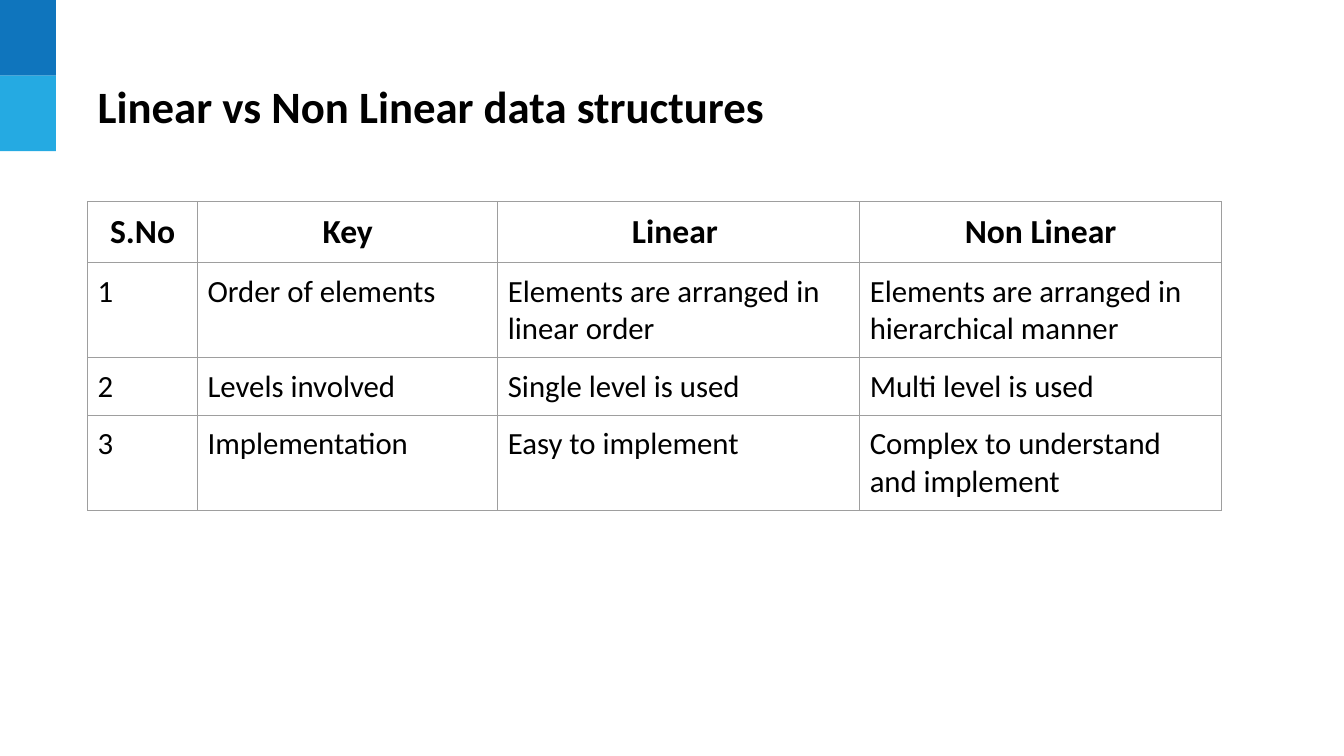
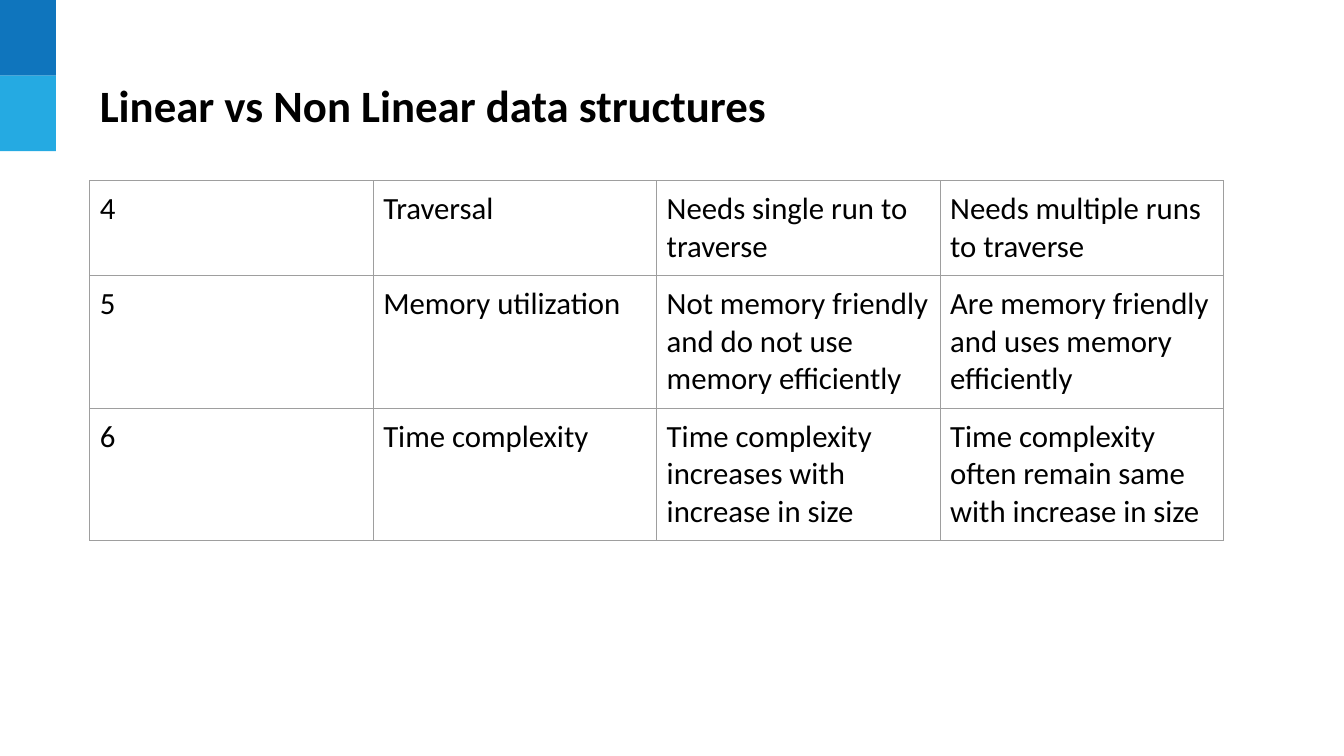
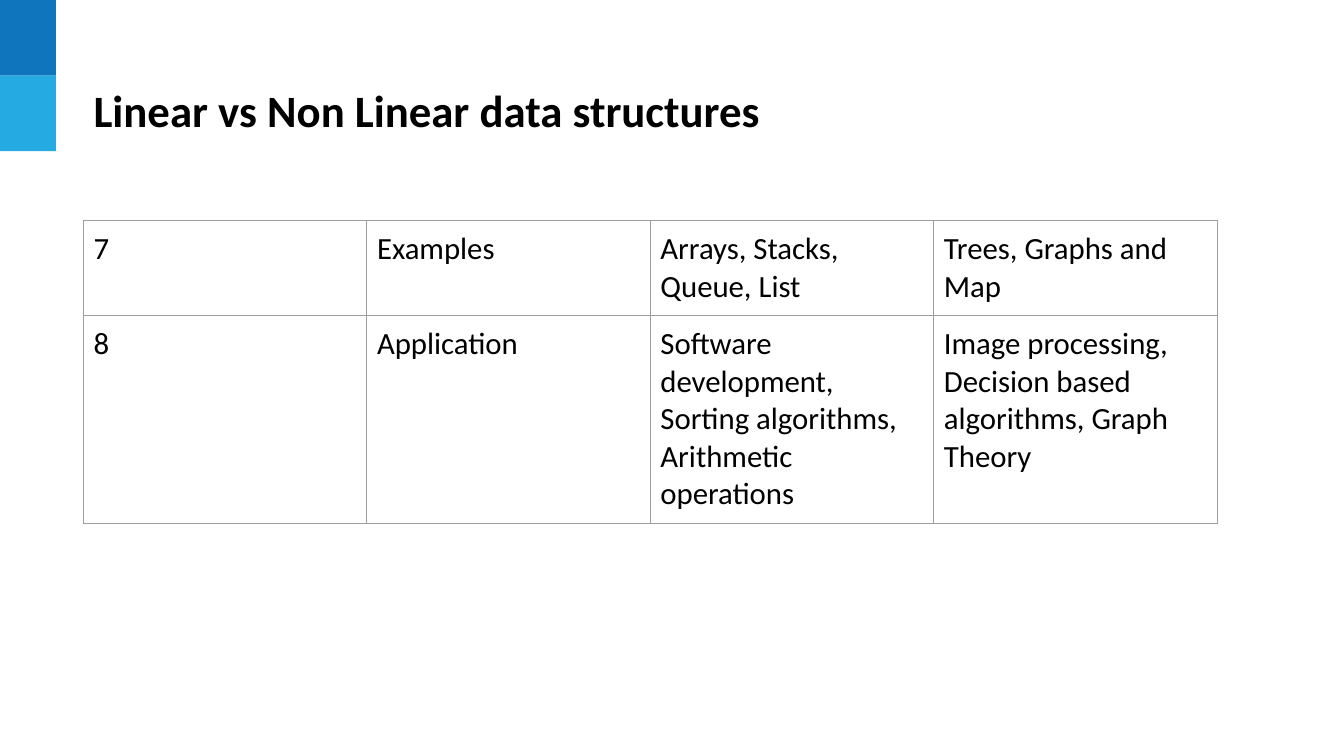
from dataclasses import dataclass

from lxml import etree
from pptx import Presentation
from pptx.dml.color import RGBColor
from pptx.enum.shapes import MSO_SHAPE
from pptx.enum.text import MSO_ANCHOR, MSO_AUTO_SIZE, PP_ALIGN
from pptx.oxml.ns import qn
from pptx.util import Pt

RECTANGLE = MSO_SHAPE.RECTANGLE
MIDDLE, TOP = MSO_ANCHOR.MIDDLE, MSO_ANCHOR.TOP
LEFT, CENTER = PP_ALIGN.LEFT, PP_ALIGN.CENTER
NO_AUTOFIT = MSO_AUTO_SIZE.NONE
TITLE_ONLY = 5


@dataclass(frozen=True)
class Theme:
    font: str = "Calibri"
    text: str = "000000"
    border: str = "9E9E9E"
    bands: tuple = ("0F75BD", "25AAE2")
    title_size: int = 32
    header_size: int = 24
    cell_size: int = 22
    border_width: float = 0.75


THEME = Theme()

# Content: left edge, title top, table top, column widths, header, rows
TITLE = "Linear vs Non Linear data structures"
EQUAL_COLUMNS = (202.5,) * 4
SLIDES = [
    {
        "left": 62.6, "title_top": 43.2, "table_top": 144,
        "columns": (78.5, 214.5, 258.5, 258.5),
        "header": ["S.No", "Key", "Linear ", "Non Linear"],
        "rows": [
            ["1", "Order of elements", "Elements are arranged in linear order",
             "Elements are arranged in hierarchical manner"],
            ["2", "Levels involved", "Single level is used", "Multi level is used"],
            ["3", "Implementation", "Easy to implement",
             "Complex to understand and implement"],
        ],
    },
    {
        "left": 64.1, "title_top": 42.5, "table_top": 128.9,
        "columns": EQUAL_COLUMNS,
        "header": None,
        "rows": [
            ["4", "Traversal", "Needs single run to traverse",
             "Needs multiple runs to traverse"],
            ["5", "Memory utilization",
             "Not memory friendly and do not use memory efficiently",
             "Are memory friendly and uses memory efficiently"],
            ["6", "Time complexity", "Time complexity increases with increase in size",
             "Time complexity often remain same with increase in size"],
        ],
    },
    {
        "left": 59.6, "title_top": 46.1, "table_top": 157.5,
        "columns": EQUAL_COLUMNS,
        "header": None,
        "rows": [
            ["7", "Examples", "Arrays, Stacks, Queue, List", "Trees, Graphs and Map"],
            ["8", "Application",
             "Software development,\nSorting algorithms, Arithmetic operations",
             "Image processing, Decision based algorithms, Graph Theory"],
        ],
    },
]

# Shared geometry in points
SLIDE_WIDTH, SLIDE_HEIGHT = 960, 540
BAND_WIDTH, BAND_HEIGHT = 40, 54
TITLE_WIDTH, TITLE_HEIGHT = 741, 65
ROW_HEIGHT = 30  # minimum; rows grow with their text
CELL_MARGIN = 7.2


def format_text(text_frame, size, bold, alignment):
    for paragraph in text_frame.paragraphs:
        paragraph.alignment = alignment
        for run in paragraph.runs:
            run.font.name = THEME.font
            run.font.size = Pt(size)
            run.font.bold = bold
            run.font.color.rgb = RGBColor.from_string(THEME.text)


def add_bands(slide, layout):
    """Draw the corner bands, then move them to the layout all slides share."""
    for index, color in enumerate(THEME.bands):
        band = slide.shapes.add_shape(RECTANGLE, 0, Pt(index * BAND_HEIGHT),
                                      Pt(BAND_WIDTH), Pt(BAND_HEIGHT))
        band.name = f"Corner band {index + 1}"
        band.shadow.inherit = False
        band.fill.solid()
        band.fill.fore_color.rgb = RGBColor.from_string(color)
        band.line.fill.background()
        band.element.nvSpPr.cNvPr.set("id", str(20 + index))
        layout.shapes.element.append(band.element)


def add_title(slide, left, top):
    title = slide.shapes.title
    title.left, title.top = Pt(left), Pt(top)
    title.width, title.height = Pt(TITLE_WIDTH), Pt(TITLE_HEIGHT)
    text_frame = title.text_frame
    text_frame.text = TITLE
    text_frame.word_wrap = True
    text_frame.auto_size = NO_AUTOFIT
    text_frame.vertical_anchor = MIDDLE
    format_text(text_frame, THEME.title_size, True, LEFT)


def set_borders(cell):
    properties = cell._tc.get_or_add_tcPr()
    for side in ("a:lnL", "a:lnR", "a:lnT", "a:lnB"):
        line = etree.SubElement(properties, qn(side), w=str(Pt(THEME.border_width)))
        fill = etree.SubElement(line, qn("a:solidFill"))
        etree.SubElement(fill, qn("a:srgbClr"), val=THEME.border)


def fill_cell(cell, text, is_header):
    cell.text_frame.text = text
    cell.margin_left = cell.margin_right = Pt(CELL_MARGIN)
    cell.margin_top = cell.margin_bottom = Pt(CELL_MARGIN)
    cell.vertical_anchor = TOP
    size = THEME.header_size if is_header else THEME.cell_size
    format_text(cell.text_frame, size, is_header, CENTER if is_header else LEFT)
    set_borders(cell)
    cell.fill.background()


def add_comparison_table(slide, left, top, columns, header, rows):
    lines = ([header] if header else []) + rows
    table = slide.shapes.add_table(
        len(lines), len(columns), Pt(left), Pt(top),
        Pt(sum(columns)), Pt(ROW_HEIGHT * len(lines))).table
    table.first_row = bool(header)
    table.horz_banding = False
    for column, width in zip(table.columns, columns):
        column.width = Pt(width)
    for row, texts in zip(table.rows, lines):
        for cell, text in zip(row.cells, texts):
            fill_cell(cell, text, texts is header)


def main():
    presentation = Presentation()
    presentation.slide_width = Pt(SLIDE_WIDTH)
    presentation.slide_height = Pt(SLIDE_HEIGHT)
    layout = presentation.slide_layouts[TITLE_ONLY]
    for index, content in enumerate(SLIDES):
        slide = presentation.slides.add_slide(layout)
        if index == 0:
            add_bands(slide, layout)
        add_title(slide, content["left"], content["title_top"])
        add_comparison_table(slide, content["left"], content["table_top"],
                             content["columns"], content["header"], content["rows"])
    presentation.save("out.pptx")


if __name__ == "__main__":
    main()
